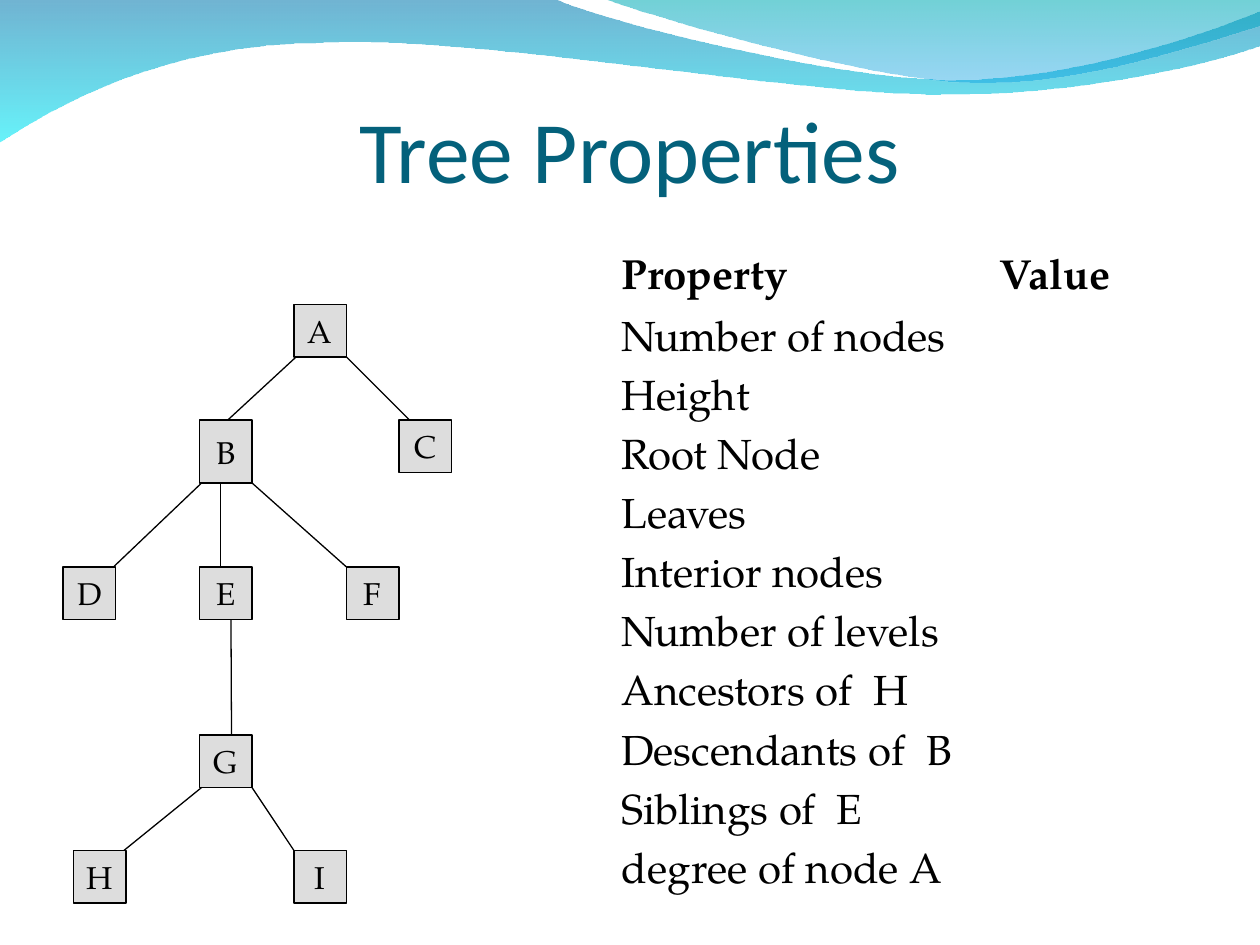
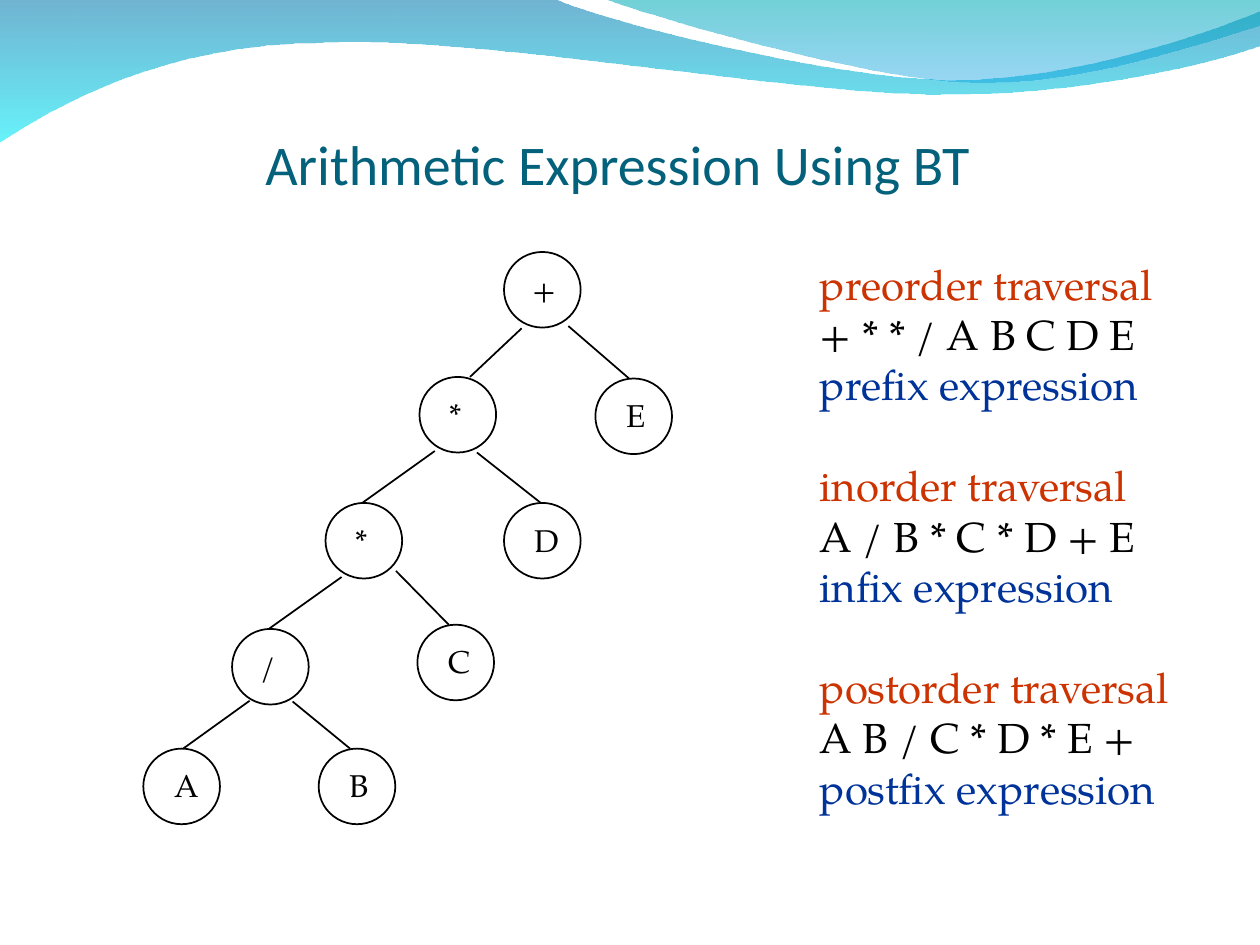
from lxml import etree
from pptx import Presentation
from pptx.dml.color import RGBColor
from pptx.enum.shapes import MSO_CONNECTOR, MSO_SHAPE
from pptx.enum.text import MSO_ANCHOR, PP_ALIGN
from pptx.oxml.ns import qn
from pptx.util import Inches, Pt

CENTER, LEFT = PP_ALIGN.CENTER, PP_ALIGN.LEFT
TOP, MIDDLE, BOTTOM = MSO_ANCHOR.TOP, MSO_ANCHOR.MIDDLE, MSO_ANCHOR.BOTTOM
SQUARE, CIRCLE = MSO_SHAPE.RECTANGLE, MSO_SHAPE.OVAL
STRAIGHT = MSO_CONNECTOR.STRAIGHT

# The slide is a grid of 120 columns by 90 rows of square cells
WIDTH, HEIGHT = Inches(10), Inches(7.5)
CELL = WIDTH // 120
BLANK_LAYOUT = 6

TITLE_FONT, BODY_FONT = "Calibri", "TeX Gyre Pagella"
COLORS = {
    "title": "04617B", "ink": "000000", "node": "DDDDDD",
    "traversal": "CC3300", "notation": "003399",
    "wave_top": "0079AF", "wave_bottom": "00EBF8",
    "crest_top": "00ADB6", "crest_bottom": "009BE5",
}

# Bands: start point, then segments of one point (line) or three (curve);
# gradient stops are colour and opacity in percent
BANDS = [
    ((0, -0.1),
     [[(52.8, -0.1)],
      [(57.1, 2), (79.7, 7.6), (91, 7.6)],
      [(102.4, 7.6), (115, 3.1), (120, 1.1)],
      [(120.1, 4.3)],
      [(118, 5.3), (104.4, 9.1), (89.5, 9)],
      [(74.6, 9), (45.8, 3.4), (30.8, 4.1)],
      [(15.5, 4.2), (5.5, 10), (-0.1, 13.6)]],
     [("wave_top", 56), ("wave_bottom", 60)]),
    ((57.5, -0.1),
     [[(61.1, 1.3), (81.8, 7.4), (92.3, 7.8)],
      [(102.7, 8.3), (115.3, 3.8), (120, 2.5)],
      [(120, 0)]],
     [("crest_top", 56), ("crest_bottom", 40)]),
]


def cells(*counts):
    return [round(count * CELL) for count in counts]


def color(name):
    return RGBColor.from_string(COLORS[name])


def bend(band, segments):
    """Turn the lines of each three-point segment into one curve."""
    lines = iter(list(band._element.iter(qn("a:lnTo"))))
    for segment in segments:
        sides = [next(lines) for _ in segment]
        if len(sides) == 3:
            arc = etree.Element(qn("a:cubicBezTo"))
            sides[0].addprevious(arc)
            for side in sides:
                arc.append(side[0])
                side.getparent().remove(side)


def write(para, text, size=18, font=BODY_FONT, ink="ink", bold=False,
          align=LEFT, before=0, spacing=None, tabs=()):
    para.alignment = align
    para.space_before = Pt(before)
    if spacing:
        para.line_spacing = spacing
    if tabs:
        stops = etree.SubElement(para._p.get_or_add_pPr(), qn("a:tabLst"))
        for place in cells(*tabs):
            etree.SubElement(stops, qn("a:tab"), pos=str(place), algn="l")
    span = para.add_run()
    span.text = text
    span.font.size = Pt(size)
    span.font.name = font
    span.font.bold = bold
    span.font.color.rgb = color(ink)


class Page:
    """One slide with the shared style of the deck."""

    def __init__(self, deck, line_width):
        self.shapes = deck.slides.add_slide(deck.slide_layouts[BLANK_LAYOUT]).shapes
        self.line_width = Pt(line_width)
        for start, segments, stops in BANDS:
            self.band(start, segments, stops)

    def band(self, start, segments, stops):
        builder = self.shapes.build_freeform(*cells(*start))
        builder.add_line_segments(
            [cells(*point) for segment in segments for point in segment])
        band = builder.convert_to_shape()
        bend(band, segments)
        band.shadow.inherit = False
        band.line.fill.background()
        band.fill.gradient()
        band.fill.gradient_angle = 270
        for stop, (name, _) in zip(band.fill.gradient_stops, stops):
            stop.color.rgb = color(name)
        for tint, (_, opacity) in zip(band._element.spPr.iter(qn("a:srgbClr")), stops):
            etree.SubElement(tint, qn("a:alpha")).set("val", str(opacity * 1000))

    def text(self, area, lines, anchor=TOP, insets=True):
        """Text box; lines holds pairs of a text and its format."""
        frame = self.shapes.add_textbox(*cells(*area)).text_frame
        frame.word_wrap = True
        frame.vertical_anchor = anchor
        if not insets:
            frame.margin_left = frame.margin_right = frame.margin_bottom = 0
        for index, (text, style) in enumerate(lines):
            write(frame.add_paragraph() if index else frame.paragraphs[0], text, **style)

    def title(self, area, text, size, **placing):
        style = dict(size=size, font=TITLE_FONT, ink="title", align=CENTER)
        self.text(area, [(text, style)], **placing)

    def node(self, preset, area, fill=None):
        node = self.shapes.add_shape(preset, *cells(*area))
        node.shadow.inherit = False
        if fill:
            node.fill.solid()
            node.fill.fore_color.rgb = color(fill)
        else:
            node.fill.background()
        node.line.color.rgb = color("ink")
        node.line.width = self.line_width
        return node

    def square(self, area, label):
        frame = self.node(SQUARE, area, "node").text_frame
        frame.word_wrap = False
        frame.vertical_anchor = MIDDLE
        write(frame.paragraphs[0], label, align=CENTER, before=11.2)

    def circle(self, area, label):
        self.node(CIRCLE, area)
        left, top = area[:2]
        shift = {"+": 1.5, "/": 1.55, "*": 1.65}.get(label, 1.75)
        self.text((left + shift, top + 1.1, 4.5, 4.8), [(label, {})])

    def edge(self, parent, child, leave, arrive, depth=1):
        """Line from a share of the parent's width to one of the child's."""
        left, top, width, height = parent
        ends = (left + leave * width, top + depth * height,
                child[0] + arrive * child[2], child[1])
        line = self.shapes.add_connector(STRAIGHT, *cells(*ends))
        line.line.color.rgb = color("ink")
        line.line.width = self.line_width
        etree.SubElement(line._element.spPr, qn("a:effectLst"))

    def tree(self, draw_node, areas, edges):
        for name, area in areas.items():
            draw_node(area, name[0])
        for parent, child, *shares in edges:
            self.edge(areas[parent], areas[child], *shares)


def tree_properties(deck):
    page = Page(deck, line_width=0.75)
    page.title((9, 8.05, 102, 11.05), "Tree Properties", 50, anchor=BOTTOM, insets=False)

    # General tree
    corners = {"A": (28, 29), "B": (19, 40), "C": (38, 40),
               "D": (6, 54), "E": (19, 54), "F": (33, 54),
               "G": (19, 70), "H": (7, 81), "I": (28, 81)}
    areas = {name: (*corner, 5, 6 if name == "B" else 5)
             for name, corner in corners.items()}
    page.tree(page.square, areas, [
        ("A", "B", 0.04, 0.54), ("A", "C", 1, 0.2),
        ("B", "D", 0.04, 0.96), ("B", "E", 0.4, 0.4), ("B", "F", 1, 0),
        ("E", "G", 0.6, 0.61),
        ("G", "H", 0.04, 0.96), ("G", "I", 1, 0),
    ])

    # Property list
    properties = ["Number of nodes", "Height", "Root Node", "Leaves",
                  "Interior nodes", "Number of levels", "Ancestors of  H",
                  "Descendants of  B", "Siblings of  E", "degree of node A"]
    lines = [("Property\t\tValue", dict(size=24, bold=True, before=15, tabs=(24, 36)))]
    lines += [(name, dict(size=24, before=16.5, spacing=0.6)) for name in properties]
    page.text((58, 23, 54, 62.4), lines)


def arithmetic_expression(deck):
    page = Page(deck, line_width=1)
    page.title((6.7, 8, 104.3, 15), "Arithmetic Expression Using BT", 32, anchor=MIDDLE)

    # Expression tree; the first character of a name is its label
    corners = {"+": (48, 24), "*1": (39.95, 35.9), "E": (56.7, 36.05),
               "*2": (31, 47.9), "D": (48, 47.9),
               "/": (22.1, 59.9), "C": (39.75, 59.5),
               "A": (13.65, 71.3), "B": (30.35, 71.3)}
    areas = {name: (*corner, 7.3, 7.2) for name, corner in corners.items()}
    page.tree(page.circle, areas, [
        ("+", "*1", 0.23, 0.66, 1.01), ("+", "E", 0.84, 0.44, 0.98),
        ("*1", "*2", 0.2, 0.48, 0.98), ("*1", "D", 0.75, 0.48),
        ("*2", "/", 0.21, 0.48, 0.98), ("*2", "C", 0.92, 0.41, 0.9),
        ("/", "A", 0.23, 0.52, 0.95), ("/", "B", 0.79, 0.41, 0.96),
    ])

    # Traversals and the notation each one gives
    traversals = [("preorder", "+ * * / A B C D E", "prefix"),
                  ("inorder", "A / B * C * D + E", "infix"),
                  ("postorder", "A B / C * D * E +", "postfix")]
    lines = []
    for order, expression, notation in traversals:
        gap = 28.8 if lines else 0
        lines += [
            (f"{order} traversal", dict(size=24, ink="traversal", before=gap)),
            (expression, dict(size=24)),
            (f"{notation} expression", dict(size=24, ink="notation")),
        ]
    page.text((76.9, 24, 39.2, 54), lines)


def main():
    deck = Presentation()
    deck.slide_width, deck.slide_height = WIDTH, HEIGHT
    tree_properties(deck)
    arithmetic_expression(deck)
    deck.save("out.pptx")


if __name__ == "__main__":
    main()
